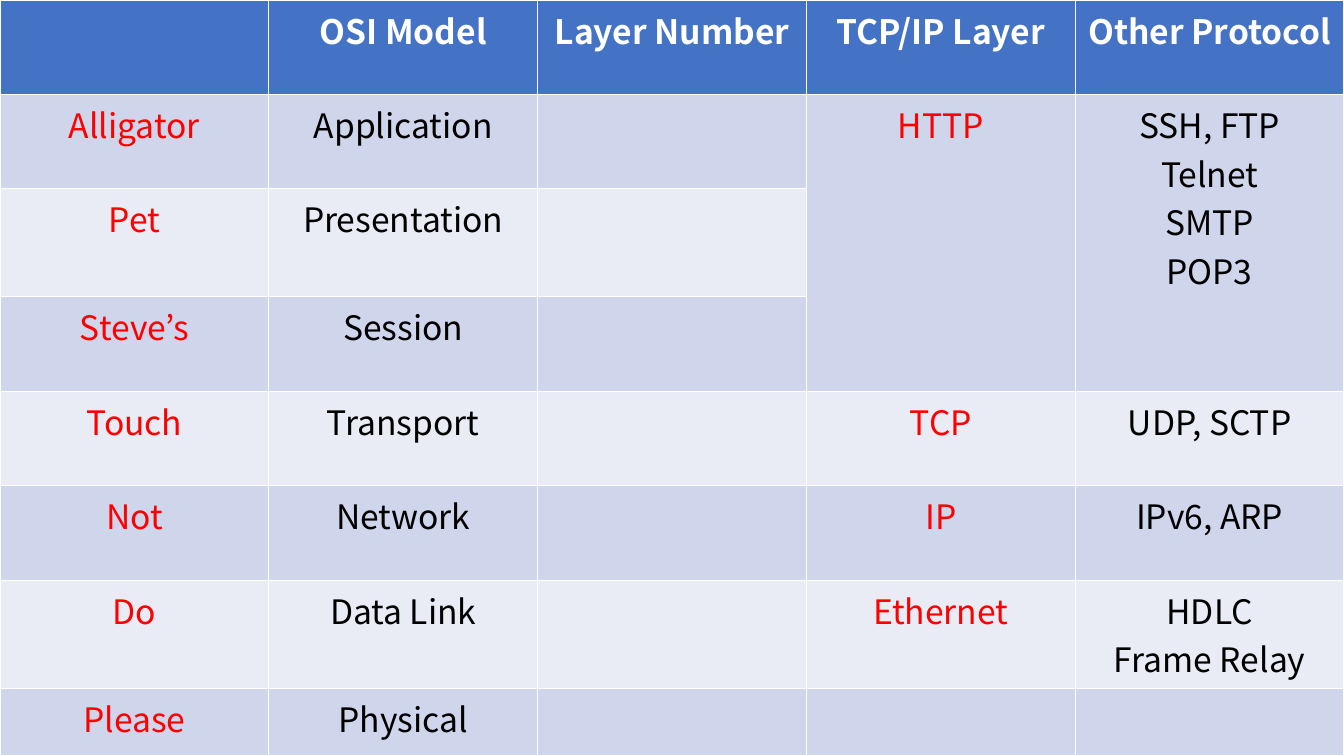
"""Build a slide with one table that maps the OSI layers to TCP/IP protocols."""
from dataclasses import dataclass

from pptx import Presentation
from pptx import util as u
from pptx.dml.color import RGBColor
from pptx.enum import text

HEADINGS = ["", "OSI Model", "Layer Number", "TCP/IP Layer", "Other Protocol"]
LAYERS = [
    ("Alligator", "Application", "", "HTTP", "SSH, FTP\nTelnet\nSMTP\nPOP3"),
    ("Pet", "Presentation", "", "", ""),
    ("Steve’s", "Session", "", "", ""),
    ("Touch", "Transport", "", "TCP", "UDP, SCTP"),
    ("Not", "Network", "", "IP", "IPv6, ARP"),
    ("Do", "Data Link", "", "Ethernet", "HDLC\nFrame Relay"),
    ("Please", "Physical", "", "", ""),
]
RED_COLUMNS = (0, 3)
MERGED_COLUMNS = (3, 4)
MERGED_ROWS = (1, 3)
TALL_ROWS = ("Pet", "Do")


@dataclass(frozen=True)
class Theme:
    font: str = "Noto Sans CJK KR"
    size: int = 24
    header: str = "4472C4"
    bands: tuple = ("E9EBF5", "CFD5EA")
    header_text: str = "FFFFFF"
    body_text: str = "000000"
    accent_text: str = "FF0000"


THEME = Theme()


def write_cell(cell, content, fill, color, bold):
    """Fill a cell and set its centred text."""
    cell.fill.solid()
    cell.fill.fore_color.rgb = RGBColor.from_string(fill)
    cell.text = content
    for para in cell.text_frame.paragraphs:
        para.alignment = text.PP_ALIGN.CENTER
        para.font.name = THEME.font
        para.font.size = u.Pt(THEME.size)
        para.font.bold = bold
        para.font.color.rgb = RGBColor.from_string(color)


deck = Presentation()
deck.slide_width, deck.slide_height = u.Cm(33.87), u.Cm(19.05)
page = deck.slides.add_slide(deck.slide_layouts[6])

rows = [HEADINGS, *LAYERS]
table = page.shapes.add_table(
    len(rows), len(HEADINGS), 0, 0, deck.slide_width, deck.slide_height
).table

heights = [u.Cm(2.72 if row[0] in TALL_ROWS else 2.38) for row in rows[:-1]]
heights.append(deck.slide_height - sum(heights))
for table_row, height in zip(table.rows, heights):
    table_row.height = height

for r, row in enumerate(rows):
    for c, content in enumerate(row):
        if r == 0:
            fill, color = THEME.header, THEME.header_text
        else:
            fill = THEME.bands[r % 2]
            color = THEME.accent_text if c in RED_COLUMNS else THEME.body_text
        write_cell(table.cell(r, c), content, fill, color, r == 0)

first, last = MERGED_ROWS
for c in MERGED_COLUMNS:
    table.cell(first, c).merge(table.cell(last, c))

deck.save("out.pptx")
